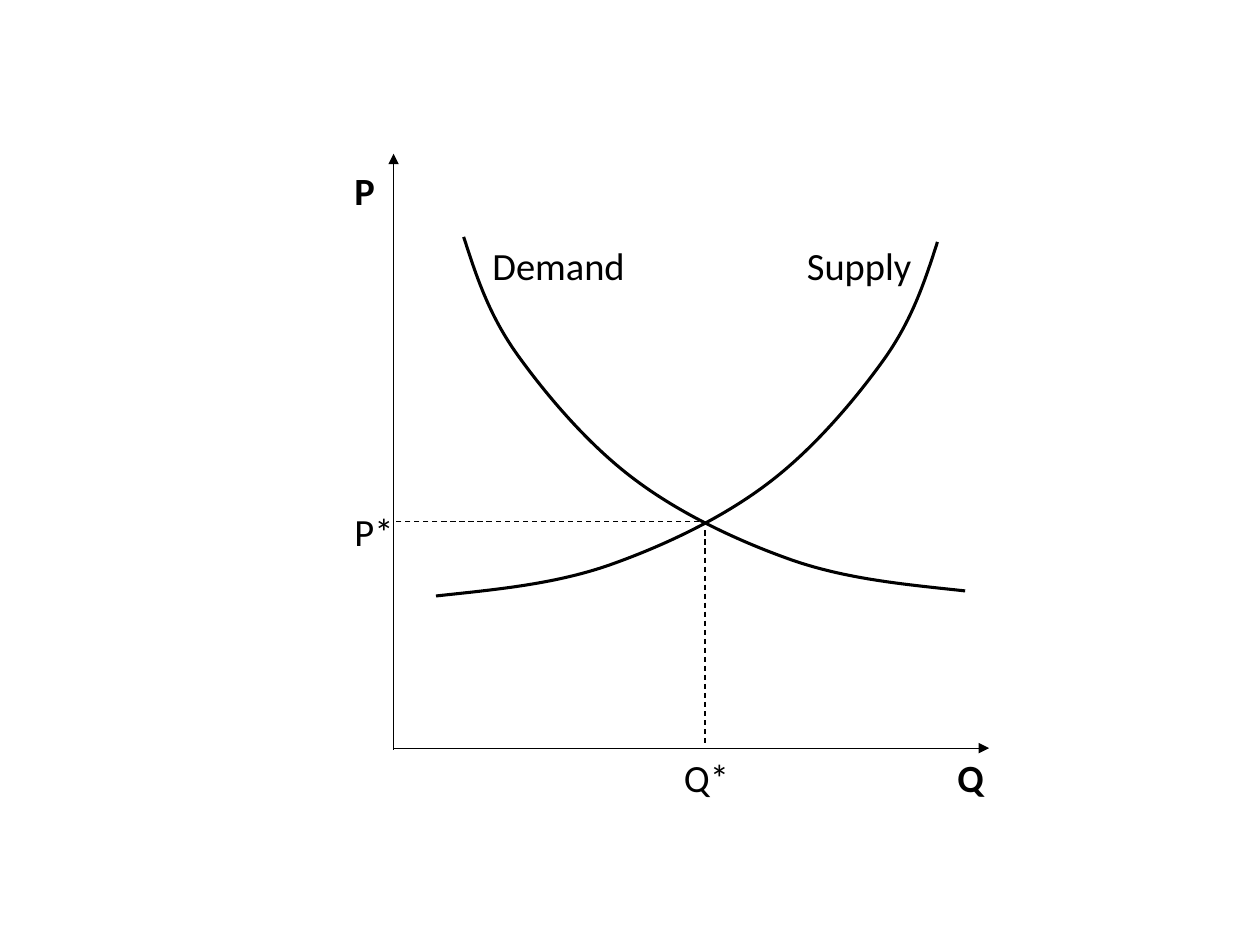
import math

from lxml import etree
from pptx import Presentation
from pptx import util as u
from pptx.dml.color import RGBColor
from pptx.enum import dml, shapes, text
from pptx.oxml import ns

COLORS = {"ink": "000000", "paper": "FFFFFF"}
FONT = "Calibri"
COLUMNS, ROWS = 100, 75
CELL = u.Inches(10) // COLUMNS
TILT = 5.4

# Cubic curve in grid cells: a start point, then two handles and an end per part.
DEMAND = [(36.8, 18.8),
          (37.8, 21.9), (38.8, 25), (41.1, 28.2),
          (43.4, 31.4), (46.7, 35.3), (50.3, 38),
          (54, 40.8), (58.7, 43), (63, 44.5),
          (67.4, 46), (72, 46.4), (76.6, 46.9)]
DEMAND_CENTER = (56.7, 32.85)
MIRROR_SUM, MIRROR_DROP = 111.2, 0.4


def cells(count):
    """Turn a number of grid cells into a length."""
    return u.Emu(round(count * CELL))


def mirror(point):
    """Reflect a demand point into its supply counterpart."""
    return MIRROR_SUM - point[0], point[1] + MIRROR_DROP


def rotate(point, center, degrees):
    """Turn a point clockwise about a center."""
    angle = math.radians(degrees)
    dx, dy = point[0] - center[0], point[1] - center[1]
    return (center[0] + dx * math.cos(angle) - dy * math.sin(angle),
            center[1] + dx * math.sin(angle) + dy * math.cos(angle))


def style_line(line, width):
    """Give a line its colour and width."""
    line.color.rgb = RGBColor.from_string(COLORS["ink"])
    line.width = u.Pt(width)


def bend(curve):
    """Join every three straight segments into one cubic curve."""
    segments = list(curve._element.iter(ns.qn("a:lnTo")))
    outline = segments[0].getparent()
    for first in range(0, len(segments), 3):
        cubic = etree.SubElement(outline, ns.qn("a:cubicBezTo"))
        for segment in segments[first:first + 3]:
            cubic.append(segment[0])
            outline.remove(segment)


def add_curve(page, nodes, center, tilt):
    """Draw a tilted market curve."""
    points = [tuple(map(cells, rotate(node, center, -tilt))) for node in nodes]
    builder = page.shapes.build_freeform(*points[0])
    builder.add_line_segments(points[1:], close=False)
    curve = builder.convert_to_shape()
    bend(curve)
    curve.rotation = tilt
    curve.shadow.inherit = False
    curve.fill.background()
    style_line(curve.line, 1.75)


def add_line(page, start, end, dashed=False, arrow=False):
    """Draw a straight line, as a dashed guide or an axis with an arrowhead."""
    line = page.shapes.add_connector(
        shapes.MSO_CONNECTOR.STRAIGHT, *map(cells, start + end))
    style_line(line.line, 0.75)
    if dashed:
        line.line.dash_style = dml.MSO_LINE.DASH
    if arrow:
        etree.SubElement(line.line._get_or_add_ln(), ns.qn("a:tailEnd"),
                         type="triangle")
    etree.SubElement(line._element.spPr, ns.qn("a:effectLst"))


def add_label(page, words, left, top, width, bold=False):
    """Write a short label."""
    box = page.shapes.add_textbox(*map(cells, (left, top, width, 4.7)))
    frame = box.text_frame
    frame.word_wrap = True
    frame.auto_size = text.MSO_AUTO_SIZE.SHAPE_TO_FIT_TEXT
    para = frame.paragraphs[0]
    span = para.add_run()
    span.text = words
    span.font.name = FONT
    span.font.size = u.Pt(22)
    span.font.bold = bold
    span.font.color.rgb = RGBColor.from_string(COLORS["ink"])


def main():
    """Build the supply and demand diagram."""
    deck = Presentation()
    deck.slide_width, deck.slide_height = cells(COLUMNS), cells(ROWS)
    page = deck.slides.add_slide(deck.slide_layouts[6])
    page.background.fill.solid()
    page.background.fill.fore_color.rgb = RGBColor.from_string(COLORS["paper"])

    add_label(page, "P", 27.15, 12.74, 5.7, bold=True)
    add_label(page, "Q", 75, 59.34, 4.7, bold=True)
    add_curve(page, DEMAND, DEMAND_CENTER, -TILT)
    add_curve(page, [mirror(node) for node in DEMAND], mirror(DEMAND_CENTER), TILT)
    add_line(page, (55.96, 42.1), (55.96, 59.2), dashed=True)
    add_line(page, (55.5, 41.4), (31.4, 41.4), dashed=True)
    for words, left, top, width in (("Supply", 63.06, 18.7, 12.5),
                                    ("Demand", 38.1, 18.7, 14.5),
                                    ("P*", 27.15, 39.8, 5.7),
                                    ("Q*", 53.3, 59.36, 5.7)):
        add_label(page, words, left, top, width)
    add_line(page, (31.24, 59.5), (31.24, 12.2), arrow=True)
    add_line(page, (31.3, 59.38), (78.5, 59.38), arrow=True)
    deck.save("out.pptx")


main()
